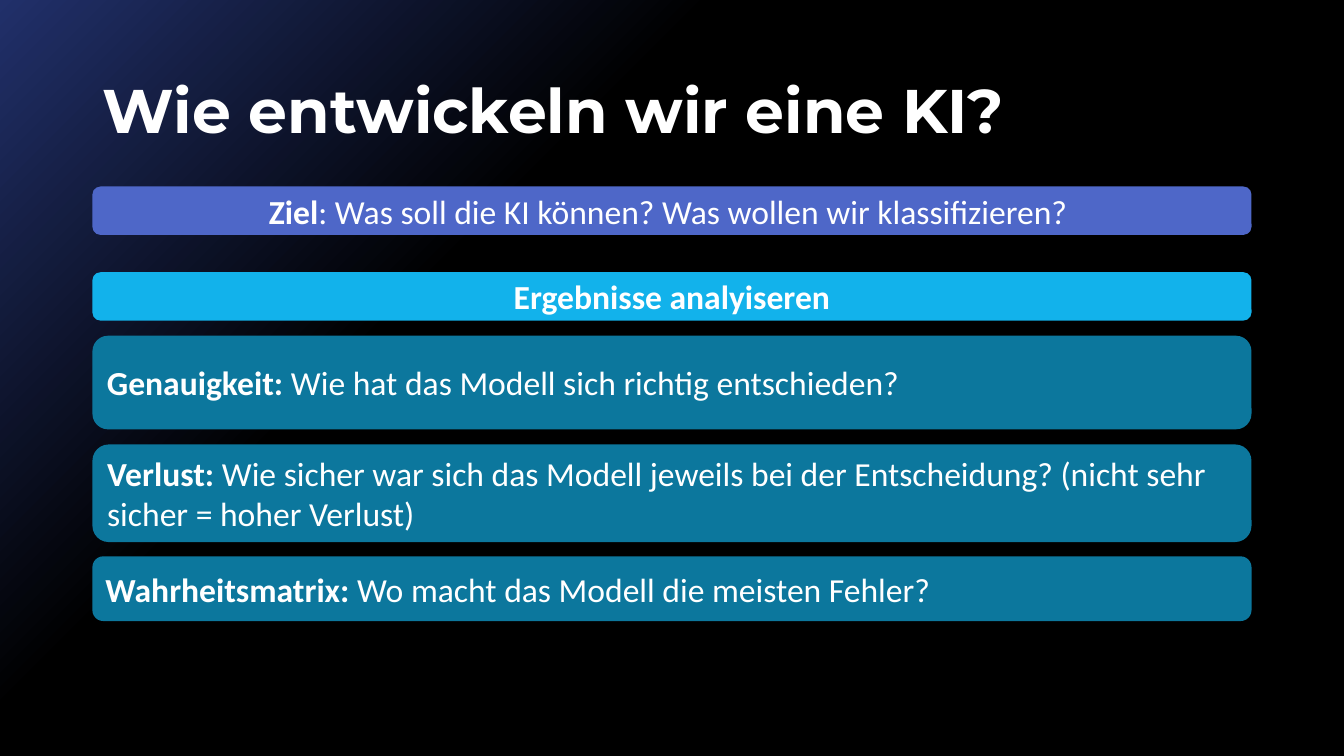
"""Build the slide on how an AI is developed and its results analysed."""
from pptx import Presentation
from pptx import util as u
from pptx.dml import color
from pptx.enum import shapes, text

COLOURS = {
    "navy": "21306A",
    "black": "000000",
    "white": "FFFFFF",
    "goal": "4E67C8",
    "heading": "12B2EB",
    "measure": "0C779D",
}
LEFT, WIDTH = u.Cm(2.33), u.Cm(29.21)


def rgb(name):
    return color.RGBColor.from_string(COLOURS[name])


def add_span(para, words, font, size, bold):
    span = para.add_run()
    span.text = words
    span.font.name = font
    span.font.size = u.Pt(size)
    span.font.bold = bold
    span.font.color.rgb = rgb("white")


deck = Presentation()
deck.slide_width, deck.slide_height = u.Cm(33.87), u.Cm(19.05)
page = deck.slides.add_slide(deck.slide_layouts[5])

backdrop = page.background.fill
backdrop.gradient()
backdrop.gradient_angle = 315
for stop, (name, position) in zip(backdrop.gradient_stops, [("navy", 0), ("black", 0.34)]):
    stop.color.rgb = rgb(name)
    stop.position = position

title = page.shapes.title
title.left, title.top, title.width, title.height = LEFT, u.Cm(1.01), WIDTH, u.Cm(3.68)
title.text_frame.word_wrap = True
title.text_frame.vertical_anchor = text.MSO_ANCHOR.MIDDLE
title_para = title.text_frame.paragraphs[0]
title_para.alignment = text.PP_ALIGN.LEFT
title_para.line_spacing = 0.9
add_span(title_para, "Wie entwickeln wir eine KI?", "Montserrat", 44, True)

CENTER, START = text.PP_ALIGN.CENTER, text.PP_ALIGN.LEFT
bars = [
    (4.7, 1.22, "goal", CENTER, "Ziel", ": Was soll die KI können? Was wollen wir klassifizieren? "),
    (6.86, 1.22, "heading", CENTER, "Ergebnisse analyiseren", ""),
    (8.46, 2.36, "measure", START, "Genauigkeit: ", "Wie hat das Modell sich richtig entschieden?"),
    (11.2, 2.46, "measure", START, "Verlust: ",
     "Wie sicher war sich das Modell jeweils bei der Entscheidung? "
     "(nicht sehr sicher = hoher Verlust)"),
    (14.02, 1.63, "measure", START, "Wahrheitsmatrix: ", "Wo macht das Modell die meisten Fehler?"),
]
for top, height, fill, alignment, term, question in bars:
    box = page.shapes.add_shape(
        shapes.MSO_SHAPE.ROUNDED_RECTANGLE, LEFT, u.Cm(top), WIDTH, u.Cm(height))
    box.shadow.inherit = False
    box.fill.solid()
    box.fill.fore_color.rgb = rgb(fill)
    box.line.fill.background()
    box.text_frame.word_wrap = True
    box.text_frame.vertical_anchor = text.MSO_ANCHOR.MIDDLE
    para = box.text_frame.paragraphs[0]
    para.alignment = alignment
    add_span(para, term, "Calibri", 24, True)
    if question:
        add_span(para, question, "Calibri", 24, False)

deck.save("out.pptx")
